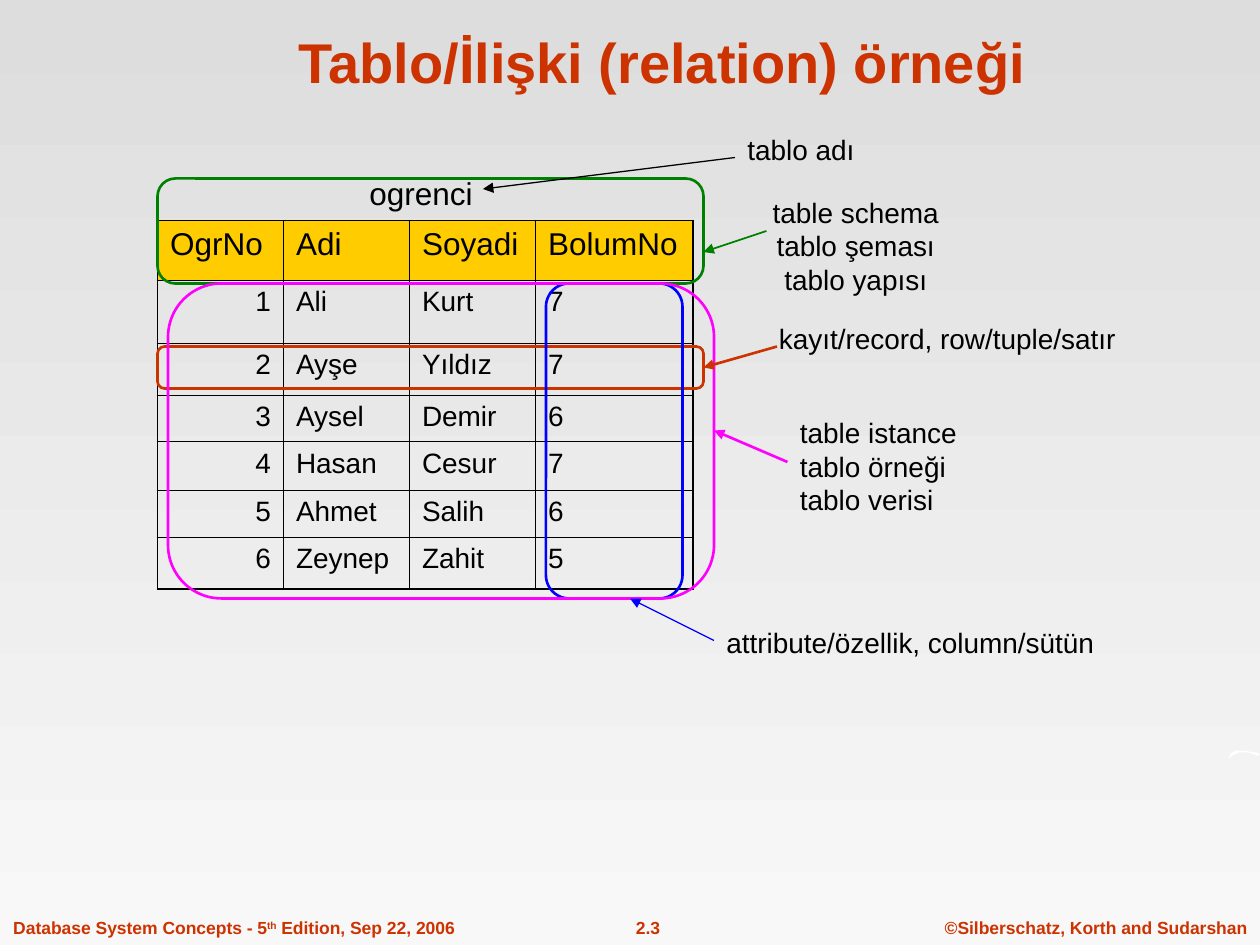
import pptx
import pptx.dml.color
import pptx.enum.shapes
import pptx.enum.text
import pptx.oxml.ns
import pptx.util
from lxml import etree

Pt = pptx.util.Pt
qn = pptx.oxml.ns.qn
Shape = pptx.enum.shapes.MSO_SHAPE
Align = pptx.enum.text.PP_ALIGN
Anchor = pptx.enum.text.MSO_ANCHOR
AutoSize = pptx.enum.text.MSO_AUTO_SIZE

COLORS = {
    "black": "000000", "white": "FFFFFF", "red": "CC3300", "green": "008000",
    "blue": "0000FF", "magenta": "FF00FF", "gold": "FFCC00",
    "top": "DDDDDD", "bottom": "F8F8F8",
}
FONTS = {
    "title": {"name": "Arial", "size": Pt(32), "bold": True},
    "footer": {"name": "Arial", "size": Pt(10), "bold": True},
    "header": {"name": "Arial", "size": Pt(18), "bold": False},
    "body": {"name": "Arial", "size": Pt(16), "bold": False},
}
FRAMES = {
    "title": {"word_wrap": True, "vertical_anchor": Anchor.BOTTOM},
    "footer": {"word_wrap": False, "auto_size": AutoSize.SHAPE_TO_FIT_TEXT},
    "label": {"word_wrap": True, "auto_size": AutoSize.SHAPE_TO_FIT_TEXT},
    "callout": {"word_wrap": True, "vertical_anchor": Anchor.TOP},
}
STUDENTS = [
    ("OgrNo", "Adi", "Soyadi", "BolumNo"),
    ("1", "Ali", "Kurt", "7"),
    ("2", "Ayşe", "Yıldız", "7"),
    ("3", "Aysel", "Demir", "6"),
    ("4", "Hasan", "Cesur", "7"),
    ("5", "Ahmet", "Salih", "6"),
    ("6", "Zeynep", "Zahit", "5"),
]
WIDTHS = (72, 72, 72, 90)
HEIGHTS = (34, 36, 30, 26.5, 27.5, 27, 29.5)
LABELS = [
    ("table istance tablo örneği tablo verisi", (450, 234, 126, 65), "body"),
    ("kayıt/record, row/tuple/satır", (438, 180, 228, 26.5), "body"),
    ("attribute/özellik, column/sütün", (408, 354, 228, 26.5), "body"),
    ("ogrenci", (204, 96, 78, 29), "header"),
    ("tablo adı", (420, 72, 96, 26.5), "body"),
]
FRAMED_AREAS = [
    ("red", (90, 198, 312, 24)),
    ("blue", (312, 162, 78, 180)),
    ("green", (90, 102, 312, 60)),
    ("magenta", (96, 162, 312, 180)),
]
ARROWS = [
    ("green", 1, (438, 132, 402, 144)),
    ("red", 1.5, (444, 198, 402, 210)),
    ("blue", 0.75, (408, 366, 360, 342)),
    ("black", 0.75, (420, 90, 276, 108)),
    ("magenta", 1.5, (450, 264, 408, 246)),
]
SWOOSH = [
    (702, 432.6), (702.7, 431.2), (704, 430), (706, 429.1), (708.5, 428.6),
    (712, 428.8), (716, 429.7), (718.5, 430.2), (720, 430.8), (719, 431.5),
    (716.5, 430.9), (713, 430.5), (711, 430), (708, 430), (705.5, 430.6),
    (703.5, 431.5), (702.6, 432.6),
]


def rgb(color):
    return pptx.dml.color.RGBColor.from_string(COLORS[color])


def assign(target, values):
    for name, value in values.items():
        setattr(target, name, value)


class Deck:
    def __init__(self, width, height):
        self.prs = pptx.Presentation()
        assign(self.prs, {"slide_width": Pt(width), "slide_height": Pt(height)})
        self.s = self.prs.slides.add_slide(self.prs.slide_layouts[6])

    def background(self, *colors):
        fill = self.s.background.fill
        fill.gradient()
        fill.gradient_angle = 270
        for stop, color in zip(fill.gradient_stops, colors):
            stop.color.rgb = rgb(color)

    def paragraphs(self, tf, lines, font, color="black", align=Align.LEFT):
        for i, runs in enumerate(lines):
            p = tf.add_paragraph() if i else tf.paragraphs[0]
            p.alignment = align
            for text, baseline in runs:
                r = p.add_run()
                r.text = text
                assign(r.font, FONTS[font])
                r.font.color.rgb = rgb(color)
                if baseline:
                    r.font._element.set("baseline", str(baseline))

    def text(self, runs, box, frame, font, color="black", align=Align.LEFT):
        sp = self.s.shapes.add_textbox(*map(Pt, box))
        assign(sp.text_frame, FRAMES[frame])
        self.paragraphs(sp.text_frame, [runs], font, color, align)

    def callout(self, lines, box, adjustments):
        sp = self.s.shapes.add_shape(Shape.LINE_CALLOUT_1, *map(Pt, box))
        sp.shadow.inherit = False
        sp.fill.background()
        sp.line.fill.background()
        for i, value in enumerate(adjustments):
            sp.adjustments[i] = value
        assign(sp.text_frame, FRAMES["callout"])
        self.paragraphs(sp.text_frame, [[(t, 0)] for t in lines], "body", align=Align.CENTER)

    def rounded(self, color, box):
        sp = self.s.shapes.add_shape(Shape.ROUNDED_RECTANGLE, *map(Pt, box))
        sp.shadow.inherit = False
        sp.adjustments[0] = 0.17
        sp.fill.background()
        sp.line.color.rgb = rgb(color)
        sp.line.width = Pt(1.5)

    def arrow(self, color, width, ends):
        straight = pptx.enum.shapes.MSO_CONNECTOR.STRAIGHT
        c = self.s.shapes.add_connector(straight, *map(Pt, ends))
        c.line.color.rgb = rgb(color)
        c.line.width = Pt(width)
        spPr = c._element.spPr
        etree.SubElement(spPr.find(qn("a:ln")), qn("a:tailEnd"), type="triangle")
        etree.SubElement(spPr, qn("a:effectLst"))

    def outline(self, color, points):
        builder = self.s.shapes.build_freeform(*points[0], scale=Pt(1))
        builder.add_line_segments(points[1:], close=True)
        sp = builder.convert_to_shape()
        sp.shadow.inherit = False
        sp.fill.solid()
        sp.fill.fore_color.rgb = rgb(color)
        sp.line.fill.background()

    def border(self, cell, side, width):
        tcPr = cell._tc.get_or_add_tcPr()
        ln = etree.SubElement(tcPr, qn("a:ln" + side), w=str(Pt(width)))
        fill = etree.SubElement(ln, qn("a:solidFill"))
        etree.SubElement(fill, qn("a:srgbClr"), val=COLORS["black"])

    def table(self, rows, left, top, widths, heights):
        box = map(Pt, (left, top, sum(widths), sum(heights)))
        table = self.s.shapes.add_table(len(rows), len(widths), *box).table
        assign(table, {"first_row": False, "horz_banding": False})
        for column, width in zip(table.columns, widths):
            column.width = Pt(width)
        for i, (row, height) in enumerate(zip(rows, heights)):
            table.rows[i].height = Pt(height)
            for j, text in enumerate(row):
                cell = table.cell(i, j)
                outer = {"L": j == 0, "R": j == len(row) - 1,
                         "T": i == 0, "B": i == len(rows) - 1}
                for side, is_outer in outer.items():
                    self.border(cell, side, 1.08 if is_outer else 0.45)
                if i == 0:
                    cell.fill.solid()
                    cell.fill.fore_color.rgb = rgb("gold")
                else:
                    cell.fill.background()
                self.paragraphs(cell.text_frame, [[(text, 0)]], "body" if i else "header",
                                align=Align.RIGHT if i and j == 0 else Align.LEFT)


def main():
    deck = Deck(720, 540)
    deck.background("top", "bottom")
    edition = [("Database System Concepts - 5", 0), ("th", 30000),
               (" Edition, Sep 22, 2006", 0)]
    footers = [
        ([("©Silberschatz, Korth and Sudarshan", 0)], (532.5, 520.5, 187.5, 19.5), Align.CENTER),
        ([("2.3", 0)], (335, 520.5, 70.5, 19.5), Align.CENTER),
        (edition, (0.5, 520.5, 266.5, 19.5), Align.LEFT),
    ]
    for runs, box, align in footers:
        deck.text(runs, box, "footer", "footer", "red", align)
    deck.outline("white", SWOOSH)
    deck.text([("Tablo/İlişki (relation) örneği", 0)], (60.5, 9.5, 636, 48),
              "title", "title", "red", Align.CENTER)
    deck.table(STUDENTS, 90, 126, WIDTHS, HEIGHTS)
    deck.callout(["table schema", "tablo şeması tablo yapısı"],
                 (420, 108, 138, 72), (0.19, -0.08, 0.5, -0.17))
    for text, box, font in LABELS:
        deck.text([(text, 0)], box, "label", font)
    for color, box in FRAMED_AREAS:
        deck.rounded(color, box)
    for color, width, ends in ARROWS:
        deck.arrow(color, width, ends)
    deck.prs.save("out.pptx")


if __name__ == "__main__":
    main()
